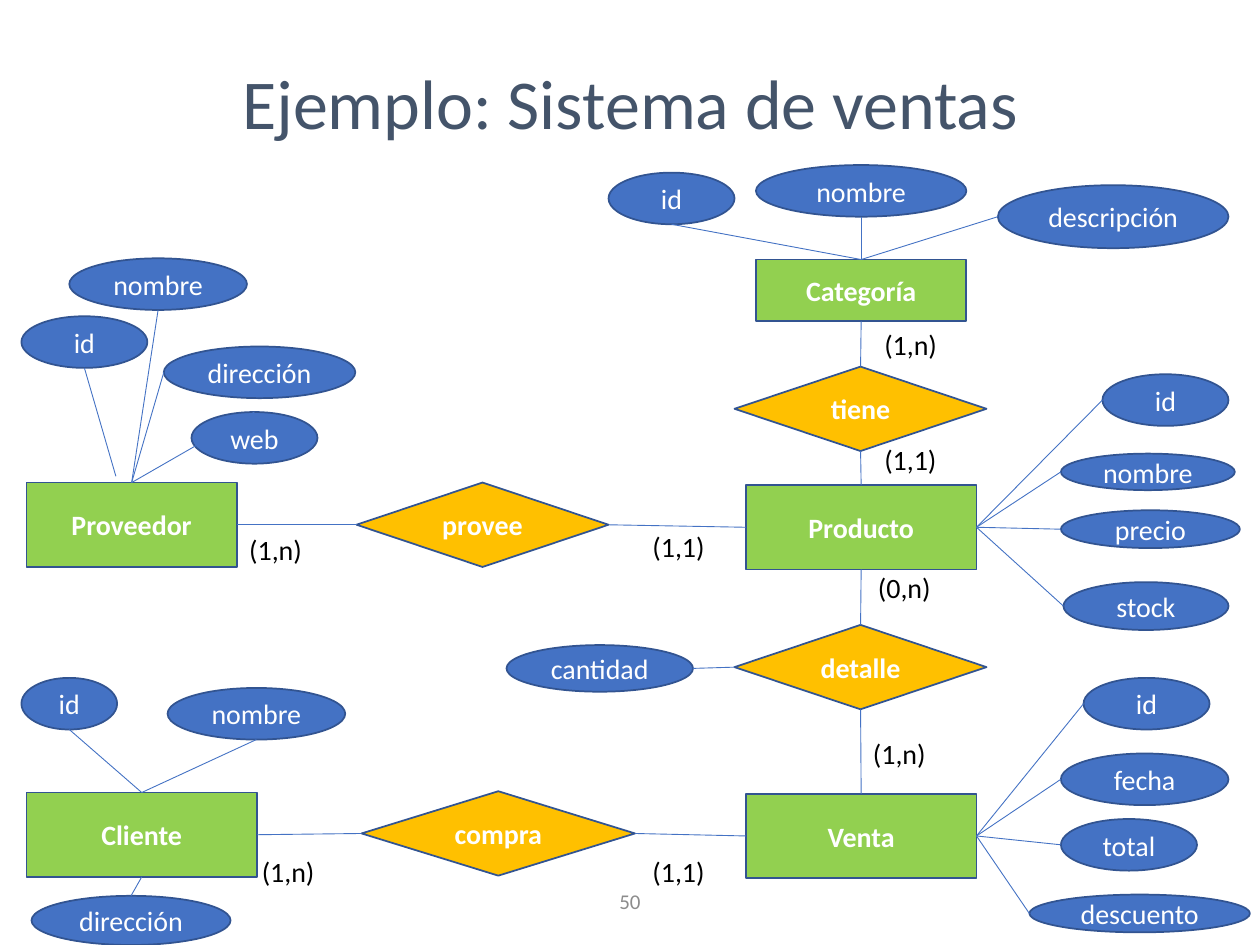
from lxml import etree
from pptx import Presentation
from pptx.dml.color import RGBColor
from pptx.enum.shapes import MSO_CONNECTOR, MSO_SHAPE
from pptx.enum.text import MSO_ANCHOR, PP_ALIGN
from pptx.oxml.ns import qn
from pptx.util import Inches, Pt

RECT = MSO_SHAPE.RECTANGLE
DIAMOND = MSO_SHAPE.FLOWCHART_DECISION
OVAL = MSO_SHAPE.OVAL
STRAIGHT = MSO_CONNECTOR.STRAIGHT
CENTER = PP_ALIGN.CENTER
MIDDLE = MSO_ANCHOR.MIDDLE

GREEN = RGBColor(0x92, 0xD0, 0x50)
AMBER = RGBColor(0xFF, 0xC0, 0x00)
BLUE = RGBColor(0x44, 0x72, 0xC4)
OUTLINE = RGBColor(0x32, 0x54, 0x91)
SLATE = RGBColor(0x44, 0x54, 0x6A)
GRAY = RGBColor(0x8C, 0x8C, 0x8C)
WHITE = RGBColor(0xFF, 0xFF, 0xFF)
BLACK = RGBColor(0x00, 0x00, 0x00)

FONT = "Calibri"
TOP, LEFT, BOTTOM, RIGHT = range(4)
MIDPOINTS = {TOP: (0.5, 0), LEFT: (0, 0.5), BOTTOM: (0.5, 1), RIGHT: (1, 0.5)}

prs = Presentation()
prs.slide_width = Inches(10)
prs.slide_height = Inches(7.5)
s = prs.slides.add_slide(prs.slide_layouts[5])


def add_node(kind, text, x, y, w, h, color, bold):
    sp = s.shapes.add_shape(kind, Inches(x), Inches(y), Inches(w), Inches(h))
    sp.shadow.inherit = False
    sp.fill.solid()
    sp.fill.fore_color.rgb = color
    sp.line.color.rgb = OUTLINE
    sp.line.width = Pt(1)
    sp.text_frame.vertical_anchor = MIDDLE
    p = sp.text_frame.paragraphs[0]
    p.text = text
    p.alignment = CENTER
    p.font.name = FONT
    p.font.size = Pt(16)
    p.font.bold = bold
    p.font.color.rgb = WHITE
    return sp


def add_link(a, a_side, b, b_side):
    ends = []
    for sp, side in ((a, a_side), (b, b_side)):
        fx, fy = MIDPOINTS[side]
        ends += [sp.left + int(sp.width * fx), sp.top + int(sp.height * fy)]
    cxn = s.shapes.add_connector(STRAIGHT, *ends)
    cxn.line.color.rgb = BLUE
    cxn.line.width = Pt(0.5)
    etree.SubElement(cxn._element.spPr, qn("a:effectLst"))
    if a.auto_shape_type != OVAL:
        cxn.begin_connect(a, a_side)
    if b.auto_shape_type != OVAL:
        cxn.end_connect(b, b_side)
    return cxn


title = s.shapes.title
title.left, title.top = Inches(0.5), Inches(0.18)
title.width, title.height = Inches(9), Inches(1.25)
title.text_frame.vertical_anchor = MIDDLE
p = title.text_frame.paragraphs[0]
p.text = "Ejemplo: Sistema de ventas"
p.alignment = CENTER
p.font.name = FONT
p.font.size = Pt(40)
p.font.color.rgb = SLATE

entities = [
    ("Proveedor", 0.21, 3.83, 1.67, 0.67),
    ("Producto", 5.92, 3.85, 1.83, 0.67),
    ("Categoría", 6, 2.06, 1.67, 0.49),
    ("Venta", 5.92, 6.3, 1.83, 0.67),
    ("Cliente", 0.21, 6.29, 1.83, 0.67),
]
relations = [
    ("provee", 2.83, 3.83, 2, 0.67),
    ("tiene", 5.83, 2.91, 2, 0.67),
    ("detalle", 5.83, 4.96, 2, 0.67),
    ("compra", 2.87, 6.28, 2.17, 0.67),
]
nodes = {}
for kind, color, rows in ((RECT, GREEN, entities), (DIAMOND, AMBER, relations)):
    for text, x, y, w, h in rows:
        nodes[text] = add_node(kind, text, x, y, w, h, color, True)

for a, a_side, b, b_side in [
    ("Proveedor", RIGHT, "provee", LEFT),
    ("provee", RIGHT, "Producto", LEFT),
    ("Categoría", BOTTOM, "tiene", TOP),
    ("tiene", BOTTOM, "Producto", TOP),
    ("Producto", BOTTOM, "detalle", TOP),
    ("detalle", BOTTOM, "Venta", TOP),
    ("Cliente", RIGHT, "compra", LEFT),
    ("compra", RIGHT, "Venta", LEFT),
]:
    add_link(nodes[a], a_side, nodes[b], b_side)

attributes = [
    ("Categoría", TOP, "id", BOTTOM, 4.83, 1.37, 1, 0.41),
    ("Categoría", TOP, "nombre", BOTTOM, 6, 1.31, 1.67, 0.41),
    ("Categoría", TOP, "descripción", LEFT, 7.92, 1.47, 1.83, 0.5),
    ("Producto", RIGHT, "id", LEFT, 8.75, 2.97, 1, 0.41),
    ("Producto", RIGHT, "nombre", LEFT, 8.42, 3.6, 1.38, 0.29),
    ("Producto", RIGHT, "precio", LEFT, 8.42, 4.05, 1.42, 0.3),
    ("Producto", RIGHT, "stock", LEFT, 8.44, 4.62, 1.31, 0.38),
    ("Proveedor", TOP, "nombre", BOTTOM, 0.55, 2.05, 1.41, 0.41),
    ("Proveedor", TOP, "dirección", LEFT, 1.3, 2.75, 1.52, 0.41),
    ("Proveedor", TOP, "web", TOP, 1.52, 3.27, 1, 0.41),
    ("detalle", LEFT, "cantidad", RIGHT, 4.02, 5.12, 1.48, 0.37),
    ("Venta", RIGHT, "id", LEFT, 8.6, 5.38, 1, 0.41),
    ("Venta", RIGHT, "fecha", LEFT, 8.42, 5.98, 1.33, 0.41),
    ("Venta", RIGHT, "total", LEFT, 8.42, 6.5, 1.08, 0.41),
    ("Venta", RIGHT, "descuento", LEFT, 8.17, 7.1, 1.75, 0.3),
    ("Cliente", TOP, "id", BOTTOM, 0.17, 5.38, 0.76, 0.41),
    ("Cliente", TOP, "nombre", BOTTOM, 1.33, 5.46, 1.41, 0.41),
    ("Cliente", BOTTOM, "dirección", TOP, 0.25, 7.11, 1.58, 0.39),
]
for owner, owner_side, text, side, x, y, w, h in attributes:
    sp = add_node(OVAL, text, x, y, w, h, BLUE, False)
    add_link(nodes[owner], owner_side, sp, side)

supplier_id = add_node(OVAL, "id", 0.17, 2.51, 1, 0.41, BLUE, False)
cxn = add_link(supplier_id, BOTTOM, supplier_id, BOTTOM)
cxn.end_x, cxn.end_y = Inches(0.92), Inches(3.78)

for text, x, y in [
    ("(1,1)", 5.08, 4.15),
    ("(1,1)", 6.92, 3.46),
    ("(1,1)", 5.08, 6.73),
    ("(1,n)", 6.92, 2.55),
    ("(1,n)", 1.88, 4.18),
    ("(1,n)", 6.83, 5.8),
    ("(1,n)", 1.98, 6.73),
    ("(0,n)", 6.87, 4.48),
]:
    tf = s.shapes.add_textbox(Inches(x), Inches(y), Inches(0.83), Inches(0.37)).text_frame
    tf.word_wrap = True
    p = tf.paragraphs[0]
    p.text = text
    p.font.name = FONT
    p.font.size = Pt(16)
    p.font.color.rgb = BLACK

tf = s.shapes.add_textbox(Inches(3.31), Inches(6.95), Inches(3.38), Inches(0.4)).text_frame
tf.word_wrap = True
tf.vertical_anchor = MIDDLE
p = tf.paragraphs[0]
p.text = "50"
p.alignment = CENTER
p.font.name = FONT
p.font.size = Pt(12)
p.font.color.rgb = GRAY

prs.save("out.pptx")
